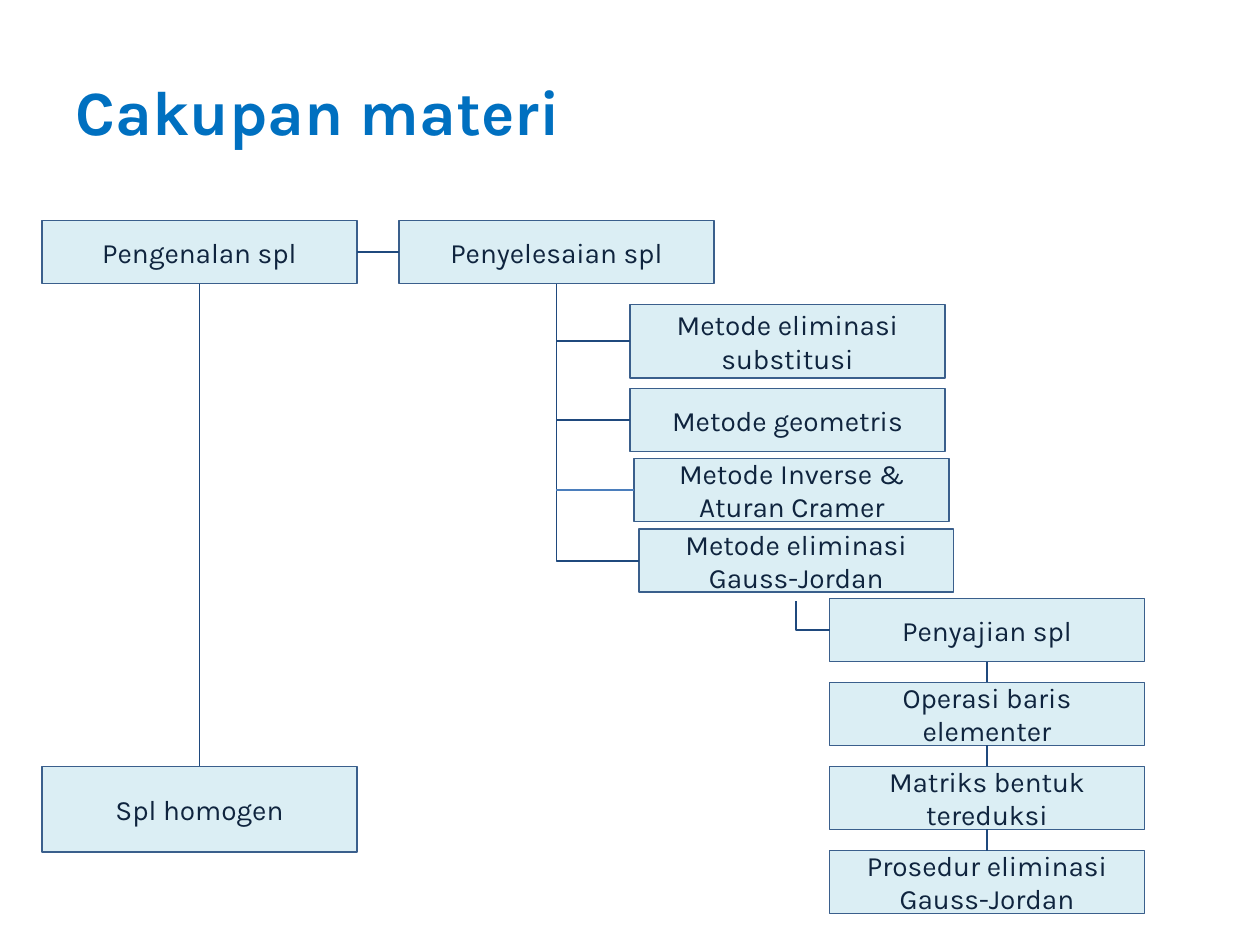
import pptx
import pptx.dml.color
import pptx.enum.shapes
import pptx.enum.text
import pptx.oxml.ns
import pptx.util
from lxml import etree

Pt = pptx.util.Pt
RGB = pptx.dml.color.RGBColor
Align = pptx.enum.text.PP_ALIGN
Link = pptx.enum.shapes.MSO_CONNECTOR

# Content: key -> text, left, top, height
TITLE = "Cakupan materi"
WIDE, HIGH = 180, 36
STEP = 48
BOXES = {
    "intro": ("Pengenalan spl", 24, 126, HIGH),
    "solve": ("Penyelesaian spl", 228, 126, HIGH),
    "subst": ("Metode eliminasi substitusi", 360, 174, 42),
    "geom": ("Metode geometris", 360, 222, HIGH),
    "cramer": ("Metode Inverse & Aturan Cramer", 362.5, 262, HIGH),
    "gauss": ("Metode eliminasi Gauss-Jordan", 365, 302.5, HIGH),
    "homog": ("Spl homogen", 24, 438, 49),
}
STEPS = [
    "Penyajian spl",
    "Operasi baris elementer",
    "Matriks bentuk tereduksi",
    "Prosedur eliminasi\nGauss-Jordan",
]
for i, text in enumerate(STEPS):
    BOXES[f"step{i}"] = (text, 474, 342 + i * STEP, HIGH)

# Links: parent, child, gap below the parent
ELBOWS = [("solve", "subst", 0), ("solve", "geom", 0),
          ("solve", "gauss", 0), ("gauss", "step0", 5)]
DROPS = [("intro", "homog")]
DROPS += [(f"step{i}", f"step{i + 1}") for i in range(len(STEPS) - 1)]

FONT = "Karla"
BLUE = RGB(0x00, 0x70, 0xC0)
INK = RGB(0x0F, 0x24, 0x3E)
PALE = RGB(0xDB, 0xEE, 0xF4)
EDGE = RGB(0x3A, 0x5F, 0x8C)
NAVY = RGB(0x1F, 0x49, 0x7D)
SKY = RGB(0x4B, 0x7E, 0xBC)

deck = pptx.Presentation()
deck.slide_width, deck.slide_height = Pt(720), Pt(540)
slide = deck.slides.add_slide(deck.slide_layouts[5])


def write(shape, text, size=16, color=INK, bold=False, align=Align.CENTER):
    frame = shape.text_frame
    frame.text = text
    frame.word_wrap = True
    frame.vertical_anchor = pptx.enum.text.MSO_ANCHOR.MIDDLE
    for para in frame.paragraphs:
        para.alignment = align
        for run in para.runs:
            font = run.font
            font.name, font.size, font.bold = FONT, Pt(size), bold
            font.color.rgb = color


def join(start, end, color=NAVY, width=1, bent=False):
    line = slide.shapes.add_connector(
        Link.ELBOW if bent else Link.STRAIGHT,
        *[Pt(v) for v in start + end])
    line.line.color.rgb = color
    line.line.width = Pt(width)
    props = line._element.spPr
    etree.SubElement(props, pptx.oxml.ns.qn("a:effectLst"))
    if bent:
        # One corner, turned half round: down first, then right
        props.find(pptx.oxml.ns.qn("a:prstGeom")).set("prst", "bentConnector2")
        props.find(pptx.oxml.ns.qn("a:xfrm")).set("rot", "10800000")


def top(key):
    _, x, y, _ = BOXES[key]
    return x + WIDE / 2, y


def base(key, gap=0):
    _, x, y, h = BOXES[key]
    return x + WIDE / 2, y + h + gap


def left(key):
    _, x, y, h = BOXES[key]
    return x, y + h / 2


# Title
head = slide.shapes.title
head.left, head.top, head.width, head.height = Pt(36), Pt(18), Pt(564), Pt(90)
write(head, TITLE, size=36, color=BLUE, bold=True, align=Align.LEFT)

# Boxes
for text, x, y, h in BOXES.values():
    box = slide.shapes.add_shape(
        pptx.enum.shapes.MSO_SHAPE.RECTANGLE, Pt(x), Pt(y), Pt(WIDE), Pt(h))
    box.shadow.inherit = False
    box.fill.solid()
    box.fill.fore_color.rgb = PALE
    box.line.color.rgb = EDGE
    box.line.width = Pt(1)
    write(box, text)

# Connectors
for parent, child, gap in ELBOWS:
    join(base(parent, gap), left(child), bent=True)
for parent, child in DROPS:
    join(base(parent), top(child))
x, y = left("solve")
join((BOXES["intro"][1] + WIDE, y), (x, y))
x, y = left("cramer")
join((base("solve")[0], y), (x, y), color=SKY, width=0.75)

deck.save("out.pptx")
